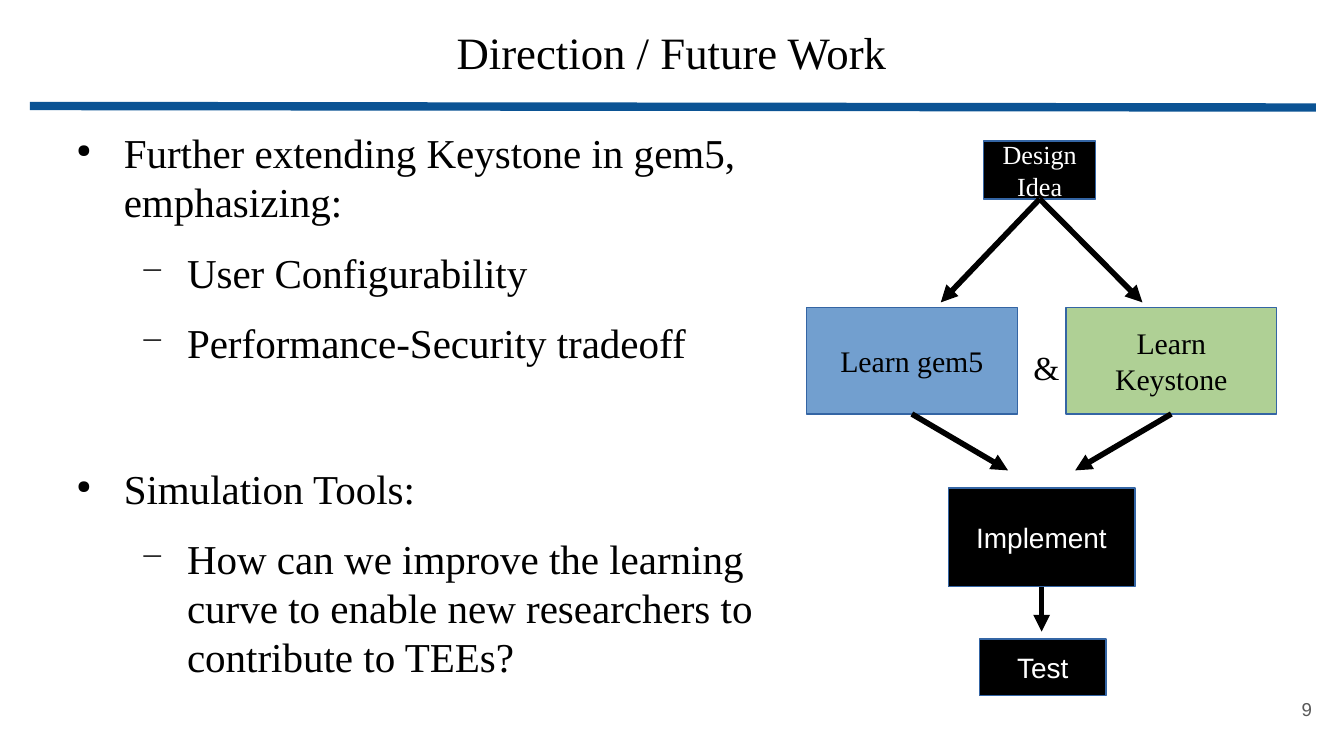
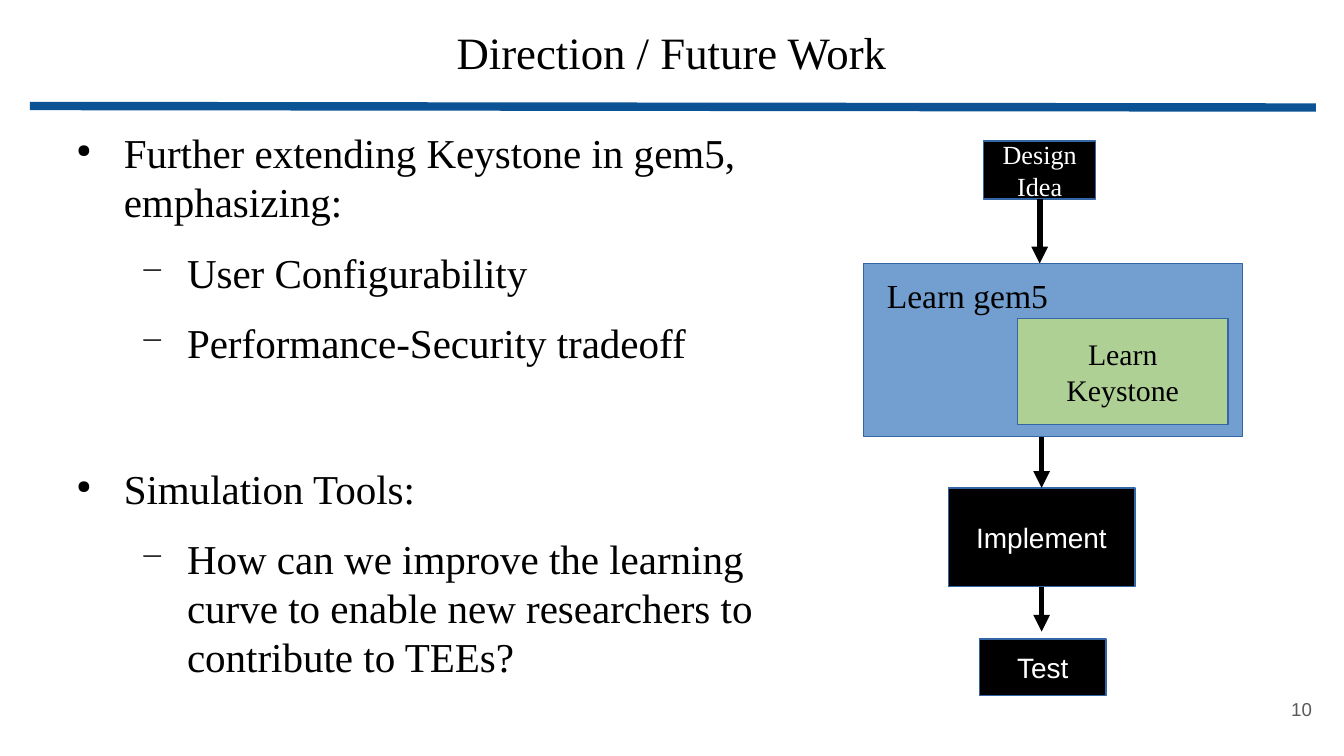
from dataclasses import dataclass

import pptx
import pptx.dml.color
import pptx.enum.shapes
import pptx.enum.text
import pptx.oxml.ns
import pptx.oxml.xmlchemy
import pptx.util
from lxml import etree

Pt = pptx.util.Pt
Align = pptx.enum.text.PP_ALIGN
Anchor = pptx.enum.text.MSO_ANCHOR

SERIF, SANS = "Times New Roman", "Arial"
BLACK, WHITE, GREY = "000000", "FFFFFF", "595959"
RULE_BLUE, EDGE_BLUE = "0B5394", "3465A4"
GEM5_BLUE, KEYSTONE_GREEN = "729FCF", "AFD095"
BOTTOM, TOP = 2, 0
STEP_INSETS = (7.2, 3.6)
SLIDE_INSETS = (5, 2.9)


@dataclass(frozen=True)
class Style:
    size: float
    font: str = SERIF
    color: str = BLACK
    align: Align = Align.LEFT


@dataclass(frozen=True)
class Step:
    """A rectangle of the workflow diagram, in points."""
    text: str
    left: float
    top: float
    width: float
    height: float
    fill: str
    style: Style


@dataclass(frozen=True)
class Bullet:
    text: str
    level: int = 0
    before: float = 14.2


BOX_TEXT = Style(15, SANS, WHITE, Align.CENTER)
LEARN_TEXT = Style(16, align=Align.CENTER)
LABEL_TEXT = Style(18)

DESIGN = Step("Design Idea", 527, 75.6, 60, 31, BLACK,
              Style(14, SERIF, WHITE, Align.CENTER))
IMPLEMENT = Step("Implement", 508, 261.4, 100, 53, BLACK, BOX_TEXT)
TEST = Step("Test", 524.6, 342.4, 68, 30.4, BLACK, BOX_TEXT)
LEARN_GEM5 = Step("Learn gem5", 432, 164.8, 113, 57, GEM5_BLUE, LEARN_TEXT)
LEARN_KEYSTONE = Step("Learn Keystone", 571, 164.8, 113, 57,
                      KEYSTONE_GREEN, LEARN_TEXT)
GEM5_FRAME = Step("", 462.6, 141.2, 203, 92.8, GEM5_BLUE, LEARN_TEXT)
INNER_KEYSTONE = Step("Learn Keystone", 545, 170.6, 113, 57,
                      KEYSTONE_GREEN, LEARN_TEXT)

BULLETS = (
    Bullet("Further extending Keystone in gem5, emphasizing:"),
    Bullet("User Configurability", 1, 11.3),
    Bullet("Performance-Security tradeoff", 1, 11.3),
    Bullet("Simulation Tools:", before=51.5),
    Bullet("How can we improve the learning curve to enable new "
           "researchers to contribute to TEEs?", 1, 11.3),
)
BULLET_MARKS = (("●", 45), ("−", 75))


def rgb(color: str) -> pptx.dml.color.RGBColor:
    return pptx.dml.color.RGBColor.from_string(color)


def set_style(p, style: Style) -> None:
    p.alignment = style.align
    p.font.size = Pt(style.size)
    p.font.name = style.font
    p.font.color.rgb = rgb(style.color)


def set_frame(tf, insets: tuple[float, float], anchor: Anchor) -> None:
    tf.word_wrap = True
    tf.vertical_anchor = anchor
    tf.margin_left = tf.margin_right = Pt(insets[0])
    tf.margin_top = tf.margin_bottom = Pt(insets[1])


def add_text(slide, text: str, box: tuple[float, float, float, float],
             style: Style, insets: tuple[float, float] = STEP_INSETS,
             anchor: Anchor = Anchor.TOP):
    tf = slide.shapes.add_textbox(*map(Pt, box)).text_frame
    set_frame(tf, insets, anchor)
    p = tf.paragraphs[0]
    p.text = text
    set_style(p, style)
    return p


def add_step(slide, step: Step):
    sp = slide.shapes.add_shape(
        pptx.enum.shapes.MSO_SHAPE.RECTANGLE,
        Pt(step.left), Pt(step.top), Pt(step.width), Pt(step.height))
    sp.shadow.inherit = False
    sp.fill.solid()
    sp.fill.fore_color.rgb = rgb(step.fill)
    sp.line.color.rgb = rgb(EDGE_BLUE)
    sp.line.width = Pt(0)
    if step.text:
        set_frame(sp.text_frame, STEP_INSETS, Anchor.MIDDLE)
        p = sp.text_frame.paragraphs[0]
        p.text = step.text
        set_style(p, step.style)
    return sp


def add_child(parent, tag: str, **attributes: str) -> None:
    child = etree.SubElement(parent, pptx.oxml.ns.qn(tag))
    for name, value in attributes.items():
        child.set(name, value)


def add_line(slide, start: tuple[float, float], end: tuple[float, float],
             color: str, width: float):
    line = slide.shapes.add_connector(
        pptx.enum.shapes.MSO_CONNECTOR.STRAIGHT, *map(Pt, start + end))
    line.line.color.rgb = rgb(color)
    line.line.width = Pt(width)
    add_child(line._element.spPr, "a:effectLst")
    return line


def add_arrow(slide, start: tuple[float, float], end: tuple[float, float],
              source=None, target=None) -> None:
    """Draw an arrow, joined to source's bottom and target's top if given."""
    arrow = add_line(slide, start, end, BLACK, 3)
    add_child(arrow.line._get_or_add_ln(), "a:tailEnd", type="triangle")
    if source is not None:
        arrow.begin_connect(source, BOTTOM)
    if target is not None:
        arrow.end_connect(target, TOP)


def add_bullets(slide) -> None:
    tf = slide.shapes.add_textbox(*map(Pt, (27.4, 65.5, 422, 330))).text_frame
    set_frame(tf, SLIDE_INSETS, Anchor.TOP)
    for i, bullet in enumerate(BULLETS):
        p = tf.add_paragraph() if i else tf.paragraphs[0]
        p.text = bullet.text
        p.level = bullet.level
        p.space_before = Pt(bullet.before)
        mark, percent = BULLET_MARKS[bullet.level]
        pPr = p._p.get_or_add_pPr()
        pPr.set("marL", str(Pt(33.9 * (bullet.level + 1))))
        pPr.set("indent", str(Pt(-25.2)))
        add_child(pPr, "a:buClr")
        add_child(pPr[-1], "a:srgbClr", val=BLACK)
        add_child(pPr, "a:buSzPct", val=str(percent * 1000))
        add_child(pPr, "a:buChar", char=mark)
        set_style(p, Style(22))


def add_future_work_slide(prs, number: int):
    """Add a slide with everything except the workflow diagram."""
    slide = prs.slides.add_slide(prs.slide_layouts[6])
    add_text(slide, str(number), (667.4, 365, 42.5, 30.2),
             Style(10, SANS, GREY, Align.RIGHT), (7.2, 7.2), Anchor.MIDDLE)
    title = add_text(slide, "Direction / Future Work",
                     (117.4, 13.7, 484.6, 72), Style(24, align=Align.CENTER),
                     SLIDE_INSETS)
    title.line_spacing = 0.9
    add_line(slide, (16, 56.8), (705, 57.6), RULE_BLUE, 4.5)
    add_bullets(slide)
    return slide


def add_common_steps(slide):
    """Draw the steps both diagrams share; return the first and Implement."""
    design, implement, _ = [
        add_step(slide, step) for step in (DESIGN, IMPLEMENT, TEST)]
    add_arrow(slide, (558, 314.4), (558, 338.4), source=implement)
    return design, implement


def add_parallel_learning(prs) -> None:
    slide = add_future_work_slide(prs, 9)
    design, _ = add_common_steps(slide)
    add_text(slide, "&", (546.5, 182.2, 17.3, 26.6), LABEL_TEXT)
    for step, learn_x, implement_x in ((LEARN_GEM5, 504, 540),
                                       (LEARN_KEYSTONE, 612, 576)):
        learn = add_step(slide, step)
        add_arrow(slide, (557, 106.6), (learn_x, 162), source=design)
        add_arrow(slide, (step.left + step.width / 2, 221.8),
                  (implement_x, 252), source=learn)


def add_nested_learning(prs) -> None:
    slide = add_future_work_slide(prs, 10)
    design, implement = add_common_steps(slide)
    add_arrow(slide, (557, 106.6), (557, GEM5_FRAME.top), source=design)
    add_arrow(slide, (558, 231), (558, IMPLEMENT.top), target=implement)
    add_step(slide, GEM5_FRAME)
    add_step(slide, INNER_KEYSTONE)
    add_text(slide, "Learn gem5", (468, 144, 126, 47.5), LABEL_TEXT)


def main() -> None:
    prs = pptx.Presentation()
    prs.slide_width, prs.slide_height = Pt(720), Pt(405)
    add_parallel_learning(prs)
    add_nested_learning(prs)
    prs.save("out.pptx")


if __name__ == "__main__":
    main()
